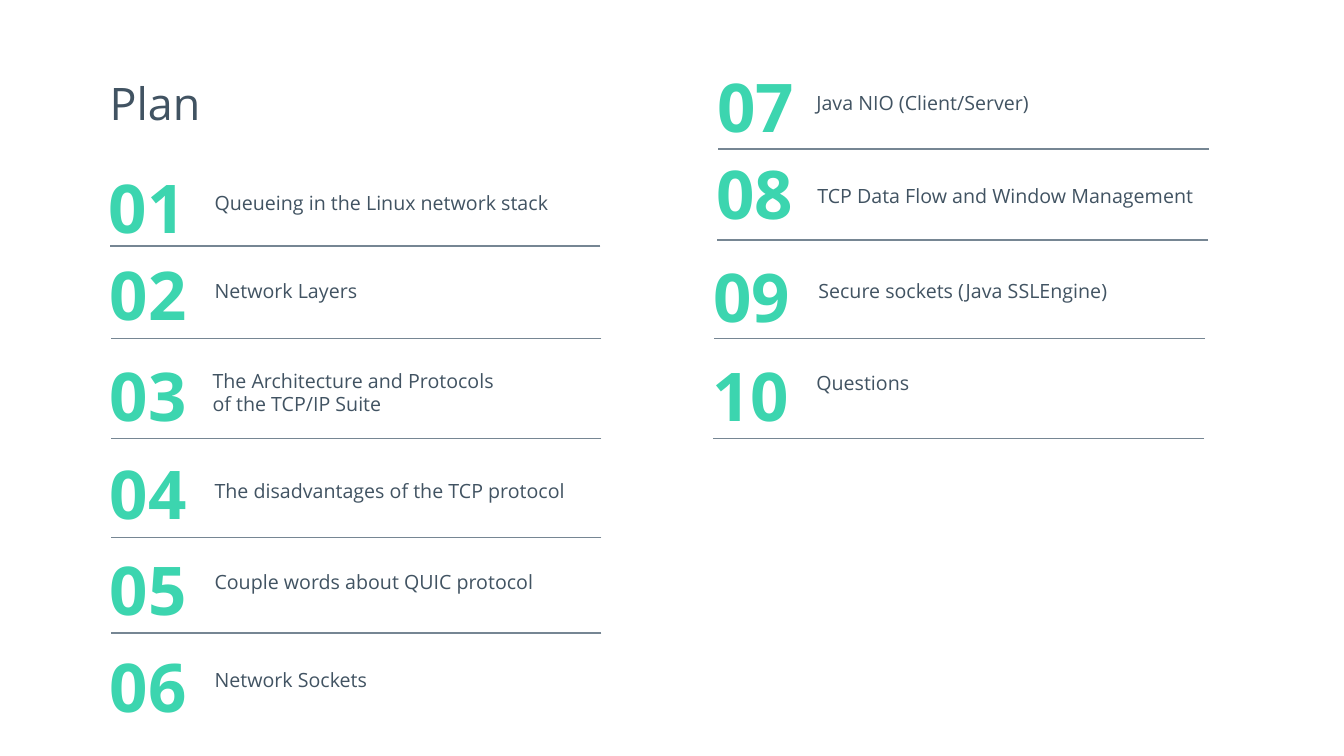
from typing import NamedTuple, Optional

from lxml.etree import SubElement
from pptx import Presentation
from pptx.dml.color import RGBColor as Rgb
from pptx.enum.shapes import MSO_CONNECTOR as Link
from pptx.enum.text import MSO_ANCHOR as Anchor, MSO_AUTO_SIZE as Fit
from pptx.oxml.ns import qn
from pptx.util import Inches, Pt

WIDE, HIGH = Inches(13.33), Inches(7.5)
COLS, ROWS = 40, 30
HUES = {"mint": "3CD5AF", "slate": "415362", "rule": "768693"}
FONTS = {
    "title": {"name": "Open Sans", "size": Pt(32)},
    "number": {"name": "Open Sans", "size": Pt(48), "bold": True},
    "label": {"name": "Open Sans", "size": Pt(14)},
}
INSET, SPAN = 0.32, 14.61


class Box(NamedTuple):
    col: float
    row: float
    cols: float
    rows: float = 1.36


class Topic(NamedTuple):
    text: str
    col: float
    row: float
    label: Box
    rule: Optional[float]
    wrap: bool = False


TOPICS = [
    Topic("Queueing in the Linux network stack", 2.94, 6.4, Box(6.09, 7.36, 10.62), 9.76),
    Topic("Network Layers", 2.97, 9.84, Box(6.09, 10.88, 4.89), 13.44),
    Topic("The Architecture and Protocols of the TCP/IP Suite", 2.97, 13.88,
          Box(6.03, 14.44, 9.36, 2.28), 17.4, True),
    Topic("The disadvantages of the TCP protocol", 2.97, 17.76, Box(6.09, 18.8, 11.16), 21.32),
    Topic("Couple words about QUIC protocol", 2.97, 21.56, Box(6.09, 22.44, 10.2), 25.12),
    Topic("Network Sockets", 2.97, 25.4, Box(6.09, 26.32, 5.19), None),
    Topic("Java NIO (Client/Server)", 21.06, 2.4, Box(24, 3.4, 6.96), 5.92),
    Topic("TCP Data Flow and Window Management", 21.03, 5.84, Box(24.03, 7.12, 11.91), 9.52),
    Topic("Secure sockets (Java SSLEngine)", 20.94, 9.92, Box(24.06, 10.88, 9.24), 13.44),
    Topic("Questions", 20.91, 13.88, Box(24, 14.52, 3.39), 17.4),
]


def across(cols: float) -> int:
    return round(WIDE * cols / COLS)


def down(rows: float) -> int:
    return round(HIGH * rows / ROWS)


def write(slide, text: str, box: Box, style: str, hue: str, wrap: bool = True):
    shape = slide.shapes.add_textbox(
        across(box.col), down(box.row), across(box.cols), down(box.rows))
    frame = shape.text_frame
    frame.word_wrap = wrap
    frame.auto_size = Fit.SHAPE_TO_FIT_TEXT
    line = frame.paragraphs[0]
    run = line.add_run()
    run.text = text
    for key, value in FONTS[style].items():
        setattr(run.font, key, value)
    run.font.color.rgb = Rgb.from_string(HUES[hue])
    return frame


def rule(slide, col: float, row: float) -> None:
    line = slide.shapes.add_connector(
        Link.STRAIGHT, across(col + SPAN), down(row), across(col), down(row))
    line.line.color.rgb = Rgb.from_string(HUES["rule"])
    line.line.width = Pt(1)
    SubElement(line._element.spPr, qn("a:effectLst"))


def main() -> None:
    deck = Presentation()
    deck.slide_width, deck.slide_height = WIDE, HIGH
    slide = deck.slides.add_slide(deck.slide_layouts[6])

    title = write(slide, "Plan", Box(2.97, 2.96, 13.38, 2.48), "title", "slate")
    title.auto_size = Fit.NONE
    title.vertical_anchor = Anchor.MIDDLE
    title.paragraphs[0].line_spacing = 0.9

    for number, topic in enumerate(TOPICS, 1):
        place = Box(topic.col, topic.row, 4.38, 3.64)
        write(slide, f"{number:02}", place, "number", "mint")
        write(slide, topic.text, topic.label, "label", "slate", topic.wrap)
        if topic.rule is not None:
            rule(slide, topic.col + INSET, topic.rule)

    deck.save("out.pptx")


if __name__ == "__main__":
    main()
